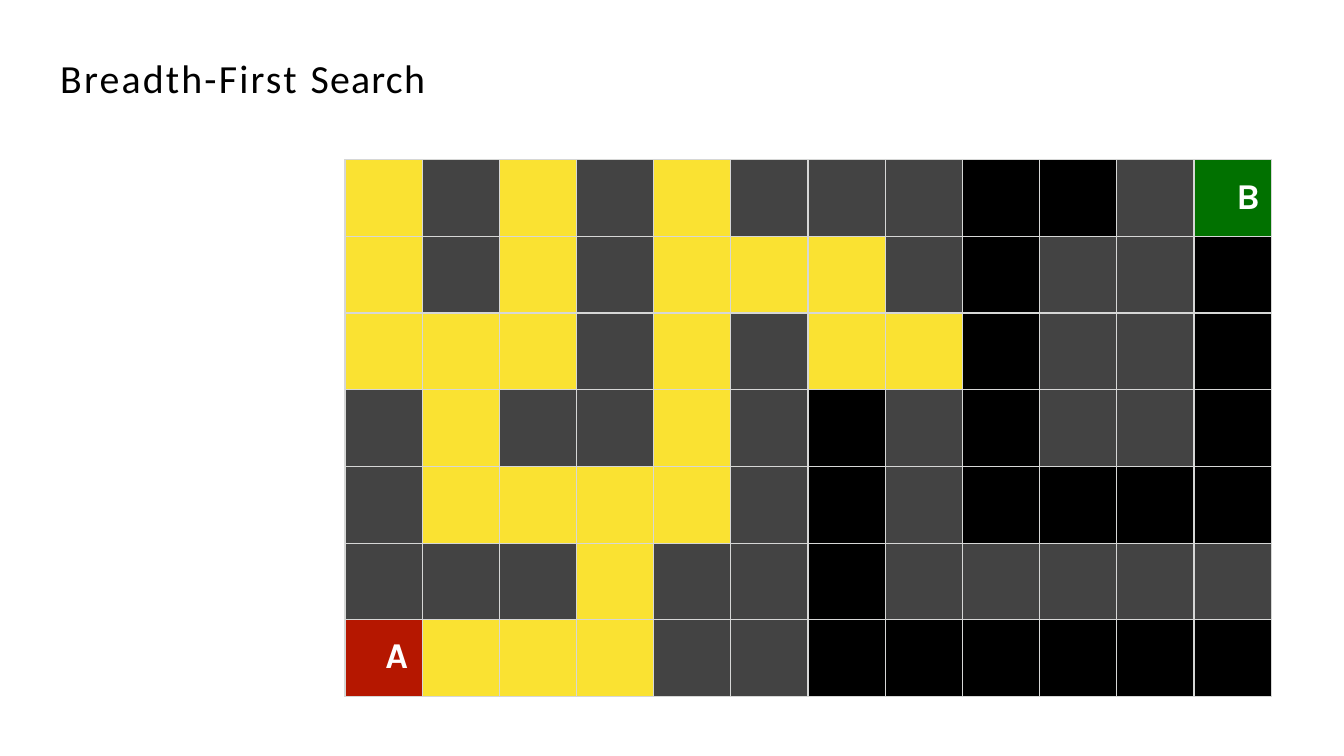
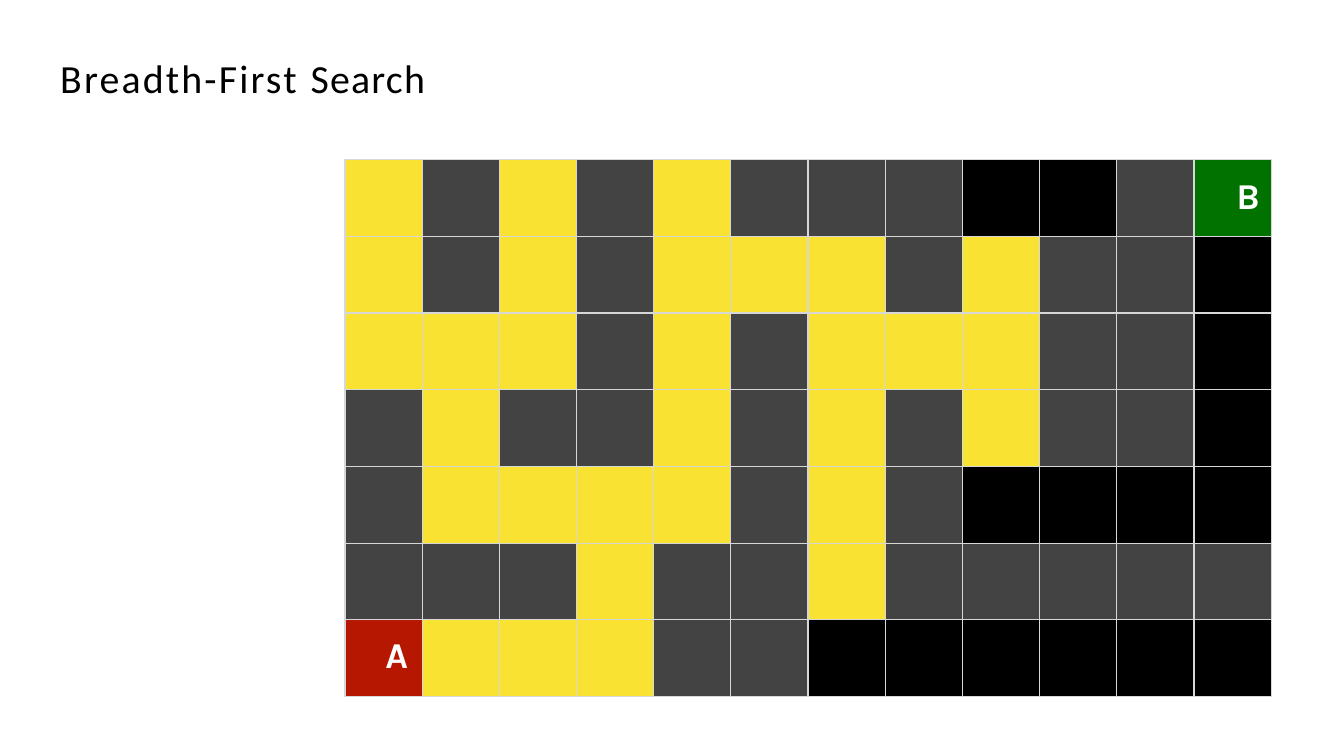
from lxml.etree import SubElement
from pptx import Presentation
from pptx.dml.color import RGBColor
from pptx.enum.text import MSO_ANCHOR as Anchor, MSO_AUTO_SIZE as AutoSize
from pptx.oxml.ns import qn
from pptx.util import Pt

BLACK = RGBColor(0x00, 0x00, 0x00)
WHITE = RGBColor(0xFF, 0xFF, 0xFF)
GREY = RGBColor(0x43, 0x43, 0x43)
YELLOW = RGBColor(0xFA, 0xE2, 0x32)
RED = RGBColor(0xB5, 0x17, 0x00)
GREEN = RGBColor(0x01, 0x71, 0x00)
BORDER = RGBColor(0xD6, 0xD7, 0xD6)

TITLE_FONT = {"name": "Calibri", "size": Pt(28.5)}
MARK_FONT = {"name": "Karla", "size": Pt(26), "bold": True}

# '#' is a wall, '.' is open, a digit is the step at which the cell is explored.
MAZE = (
    "1#1#1###..#B",
    "1#1#111#2##.",
    "111#1#112##.",
    "#1##1#2#2##.",
    "#1111#2#....",
    "###1##2#####",
    "A111##......",
)
STEPS = (1, 2)
COL_WIDTH, ROW_HEIGHT = 55.14, 54.8
FILLS = {"#": GREY, ".": BLACK, "A": RED, "B": GREEN}
MARK_MARGINS = {
    "A": {"margin_left": Pt(28.8), "margin_top": Pt(10.8)},
    "B": {"margin_left": Pt(30.2), "margin_top": Pt(11.5)},
}


def set_attrs(target, values):
    for name, value in values.items():
        setattr(target, name, value)


def add_run(p, text, font, color):
    r = p.add_run()
    r.text = text
    set_attrs(r.font, font)
    r.font.color.rgb = color
    return r


def add_title(slide, parts):
    """Add the title from (text, letter spacing in points) parts."""
    tf = slide.shapes.add_textbox(Pt(42), Pt(37.5), Pt(291.6), Pt(35.3)).text_frame
    set_attrs(tf, {
        "word_wrap": True, "auto_size": AutoSize.SHAPE_TO_FIT_TEXT,
        "vertical_anchor": Anchor.MIDDLE, "margin_left": Pt(1),
        "margin_top": Pt(1), "margin_right": 0, "margin_bottom": 0,
    })
    for text, spacing in parts:
        r = add_run(tf.paragraphs[0], text, TITLE_FONT, BLACK)
        r.font._element.set("spc", str(round(spacing * 100)))


def add_borders(cell):
    tc_pr = cell._tc.get_or_add_tcPr()
    for side in ("lnL", "lnR", "lnT", "lnB"):
        line = SubElement(tc_pr, qn(f"a:{side}"), w=str(Pt(1)))
        fill = SubElement(line, qn("a:solidFill"))
        SubElement(fill, qn("a:srgbClr"), val=str(BORDER))


def cell_color(code, step):
    if code.isdigit():
        return YELLOW if int(code) <= step else BLACK
    return FILLS[code]


def add_mark(cell, letter):
    margins = {"margin_right": 0, "margin_bottom": 0, **MARK_MARGINS[letter]}
    set_attrs(cell, margins)
    add_run(cell.text_frame.paragraphs[0], letter, MARK_FONT, WHITE)


def add_maze(slide, step):
    rows, cols = len(MAZE), len(MAZE[0])
    table = slide.shapes.add_table(
        rows, cols, Pt(246.4), Pt(114),
        Pt(cols * COL_WIDTH), Pt(rows * ROW_HEIGHT)).table
    set_attrs(table, {"first_row": False, "horz_banding": False})
    for column in table.columns:
        column.width = Pt(COL_WIDTH)
    for i, codes in enumerate(MAZE):
        table.rows[i].height = Pt(ROW_HEIGHT)
        for j, code in enumerate(codes):
            cell = table.cell(i, j)
            add_borders(cell)
            cell.fill.solid()
            cell.fill.fore_color.rgb = cell_color(code, step)
            if code in MARK_MARGINS:
                add_mark(cell, code)


def main():
    prs = Presentation()
    set_attrs(prs, {"slide_width": Pt(960), "slide_height": Pt(540)})
    for step in STEPS:
        slide = prs.slides.add_slide(prs.slide_layouts[6])
        add_maze(slide, step)
        add_title(slide, (("Breadth-First ", 1.6), ("Search", 0.9)))
    prs.save("out.pptx")


if __name__ == "__main__":
    main()
